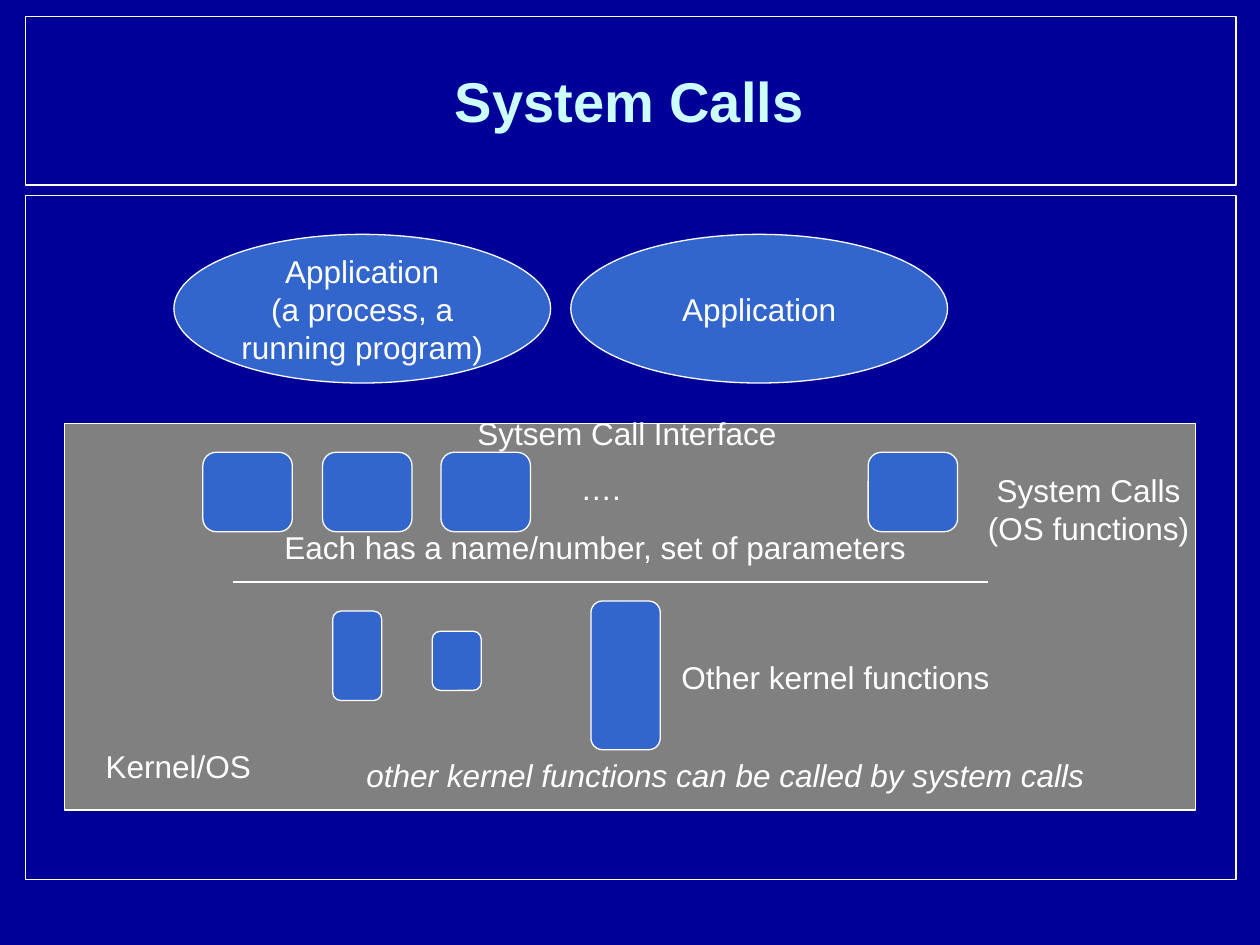
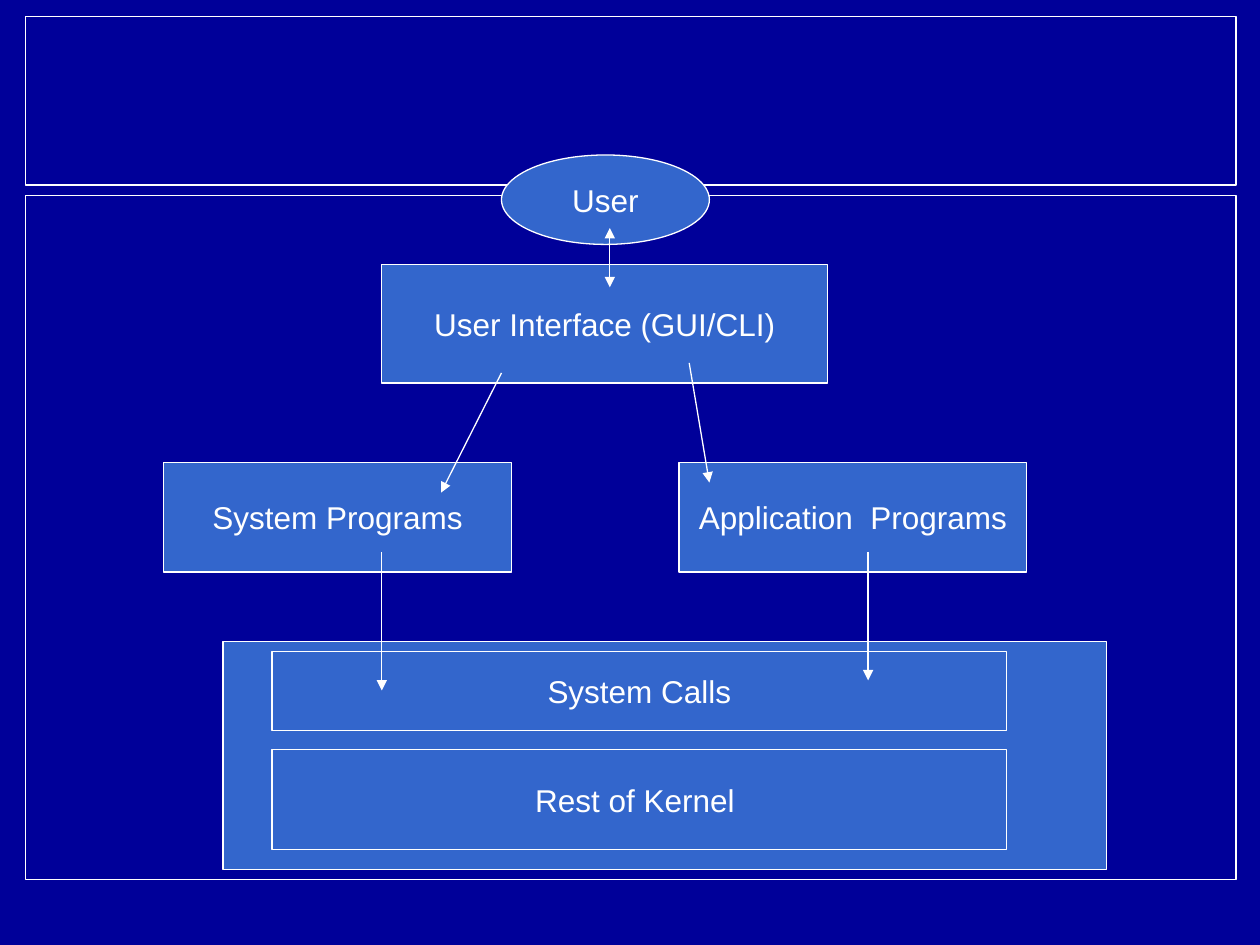
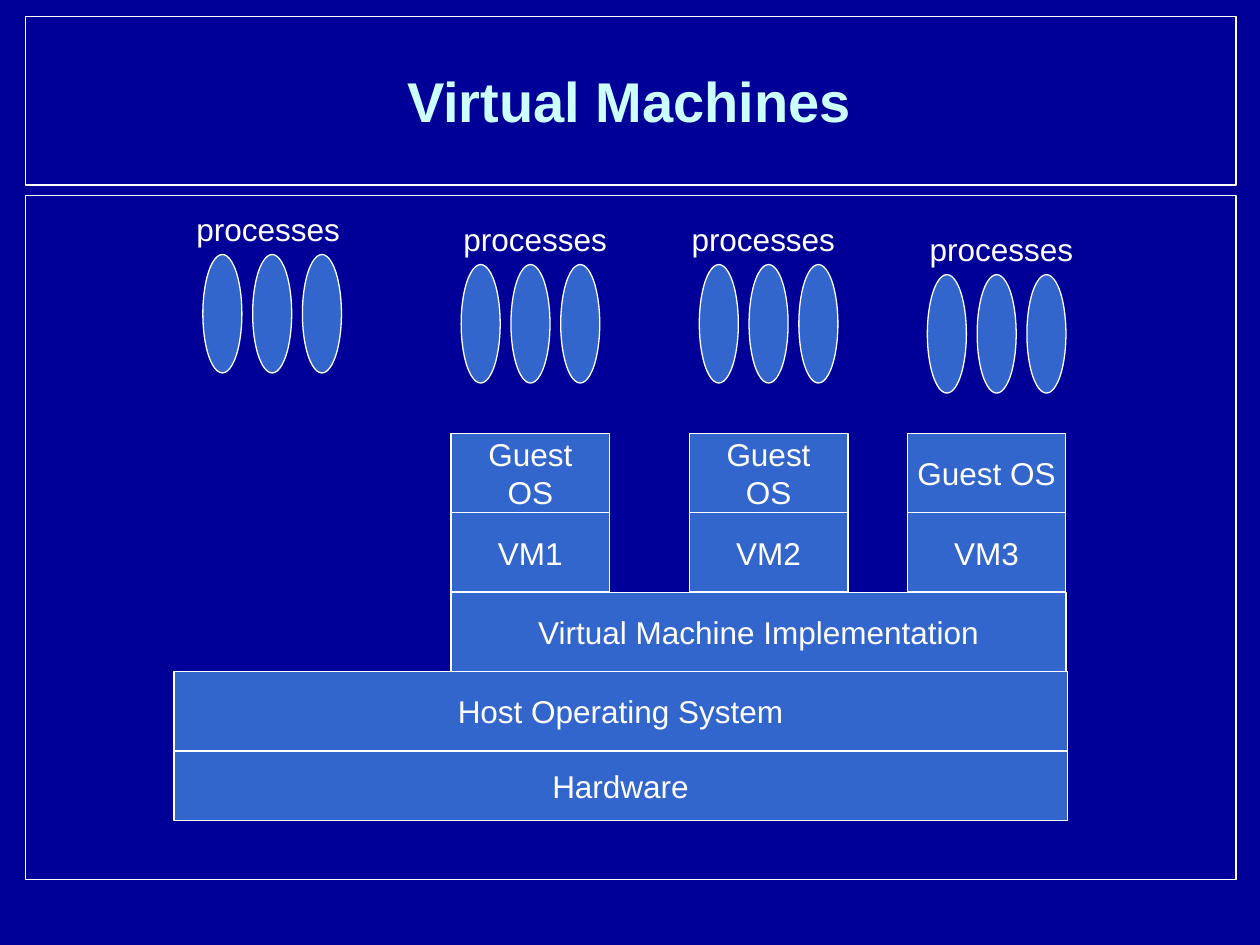
from lxml.etree import SubElement
from pptx import Presentation
from pptx.dml.color import RGBColor
from pptx.enum.shapes import MSO_CONNECTOR, MSO_SHAPE
from pptx.enum.text import MSO_ANCHOR, MSO_AUTO_SIZE, PP_ALIGN
from pptx.oxml.ns import qn
from pptx.util import Inches, Pt

NAVY = RGBColor(0x00, 0x00, 0x99)
BLUE = RGBColor(0x33, 0x66, 0xCC)
GRAY = RGBColor(0x80, 0x80, 0x80)
WHITE = RGBColor(0xFF, 0xFF, 0xFF)
PALE_CYAN = RGBColor(0xCC, 0xFF, 0xFF)
FONT = "Arial"
RECTANGLE = MSO_SHAPE.RECTANGLE
ROUNDED = MSO_SHAPE.ROUNDED_RECTANGLE
ELLIPSE = MSO_SHAPE.OVAL


def write_text(box, text, align=PP_ALIGN.CENTER, size=18, color=WHITE, bold=False, italic=False):
    frame = box.text_frame
    frame.text = text
    for para in frame.paragraphs:
        para.alignment = align
        for span in para.runs:
            span.font.name = FONT
            span.font.size = Pt(size)
            span.font.color.rgb = color
            span.font.bold = bold
            span.font.italic = italic


def add_block(page, kind, left, top, width, height, text="", fill=BLUE):
    block = page.shapes.add_shape(kind, Inches(left), Inches(top), Inches(width), Inches(height))
    block.shadow.inherit = False
    if fill is None:
        block.fill.background()
    else:
        block.fill.solid()
        block.fill.fore_color.rgb = fill
    block.line.color.rgb = WHITE
    block.line.width = Pt(0.75)
    block.text_frame.word_wrap = False
    block.text_frame.vertical_anchor = MSO_ANCHOR.MIDDLE
    if text:
        write_text(block, text)


deck = Presentation()
deck.slide_width = Inches(10)
deck.slide_height = Inches(7.5)
deck.slide_master.background.fill.solid()
deck.slide_master.background.fill.fore_color.rgb = NAVY

pages = []
for heading in ("System Calls", "", "Virtual Machines"):
    page = deck.slides.add_slide(deck.slide_layouts[5 if heading else 6])
    add_block(page, RECTANGLE, 0.2, 0.13, 9.61, 1.34, fill=None)
    add_block(page, RECTANGLE, 0.2, 1.55, 9.61, 5.43, fill=None)
    if heading:
        title = page.shapes.title
        title.left, title.top = Inches(0.35), Inches(0.17)
        title.width, title.height = Inches(9.29), Inches(1.25)
        title.text_frame.vertical_anchor = MSO_ANCHOR.MIDDLE
        write_text(title, heading, size=32, color=PALE_CYAN, bold=True)
    pages.append(page)
calls_page, layers_page, machines_page = pages

add_block(calls_page, RECTANGLE, 0.51, 3.36, 8.98, 3.07, fill=GRAY)
add_block(calls_page, ELLIPSE, 1.38, 1.86, 2.99, 1.18, "Application\n(a process, a\vrunning program)")
add_block(calls_page, ELLIPSE, 4.53, 1.86, 2.99, 1.18, "Application")
for left in (1.61, 2.56, 3.5, 6.89):
    add_block(calls_page, ROUNDED, left, 3.59, 0.71, 0.63)
for left, top, width, height in (
    (2.64, 4.85, 0.39, 0.71),
    (3.43, 5.01, 0.39, 0.47),
    (4.69, 4.77, 0.55, 1.18),
):
    add_block(calls_page, ROUNDED, left, top, width, height)

add_block(layers_page, RECTANGLE, 1.77, 5.09, 7.01, 1.81)
for kind, left, top, width, height, text in (
    (RECTANGLE, 3.03, 2.1, 3.54, 0.94, "User Interface (GUI/CLI)"),
    (RECTANGLE, 1.3, 3.67, 2.76, 0.87, "System Programs"),
    (RECTANGLE, 5.39, 3.67, 2.76, 0.87, "Application  Programs"),
    (RECTANGLE, 2.16, 5.17, 5.83, 0.63, "System Calls"),
    (RECTANGLE, 2.16, 5.95, 5.83, 0.79, "Rest of Kernel "),
    (ELLIPSE, 3.98, 1.23, 1.65, 0.71, "User"),
):
    add_block(layers_page, kind, left, top, width, height, text)

for left, top, width, height, text in (
    (1.38, 5.96, 7.09, 0.55, "Hardware"),
    (1.38, 5.33, 7.09, 0.63, "Host Operating System"),
    (3.58, 4.7, 4.88, 0.63, "Virtual Machine Implementation"),
):
    add_block(machines_page, RECTANGLE, left, top, width, height, text)
for left, machine, guest in (
    (3.58, "VM1", "Guest\vOS"),
    (5.47, "VM2", "Guest\vOS"),
    (7.2, "VM3", "Guest OS"),
):
    add_block(machines_page, RECTANGLE, left, 4.07, 1.26, 0.63, machine)
    add_block(machines_page, RECTANGLE, left, 3.44, 1.26, 0.63, guest)

LEFT, CENTER = PP_ALIGN.LEFT, PP_ALIGN.CENTER
labels = [
    (calls_page, 7.74, 3.69, 1.8, 0.7, "System Calls\n(OS functions)", CENTER, False),
    (calls_page, 2.16, 4.14, 5.2, 0.4, "Each has a name/number, set of parameters", LEFT, False),
    (calls_page, 4.51, 3.67, 0.52, 0.4, "….", LEFT, False),
    (calls_page, 0.74, 5.88, 1.35, 0.4, "Kernel/OS", LEFT, False),
    (calls_page, 5.31, 5.17, 2.7, 0.4, "Other kernel functions", LEFT, False),
    (calls_page, 2.81, 5.95, 6, 0.4, "other kernel functions can be called by system calls", LEFT, True),
    (calls_page, 3.69, 3.24, 2.65, 0.4, "Sytsem Call Interface", LEFT, False),
]
for group_left, group_top, label_left in (
    (1.61, 2.02, 1.46),
    (3.66, 2.1, 3.58),
    (5.55, 2.1, 5.39),
    (7.36, 2.18, 7.28),
):
    for index in range(3):
        add_block(machines_page, ELLIPSE, group_left + index * 0.79 / 2, group_top, 0.31, 0.94)
    labels.append((machines_page, label_left, group_top - 0.4, 1.34, 0.4, "processes", LEFT, False))

for page, left, top, width, height, text, align, italic in labels:
    label = page.shapes.add_textbox(Inches(left), Inches(top), Inches(width), Inches(height))
    label.text_frame.word_wrap = False
    label.text_frame.auto_size = MSO_AUTO_SIZE.NONE
    write_text(label, text, align, italic=italic)

for page, start_x, start_y, end_x, end_y, arrow_ends in (
    (calls_page, 1.85, 4.62, 7.84, 4.62, ()),
    (layers_page, 3.98, 2.96, 3.5, 3.91, ("tailEnd",)),
    (layers_page, 5.47, 2.88, 5.63, 3.83, ("tailEnd",)),
    (layers_page, 3.03, 4.38, 3.03, 5.48, ("tailEnd",)),
    (layers_page, 6.89, 4.38, 6.89, 5.4, ("tailEnd",)),
    (layers_page, 4.84, 1.81, 4.84, 2.28, ("headEnd", "tailEnd")),
):
    connector = page.shapes.add_connector(
        MSO_CONNECTOR.STRAIGHT, Inches(start_x), Inches(start_y), Inches(end_x), Inches(end_y)
    )
    connector.line.color.rgb = WHITE
    connector.line.width = Pt(0.75)
    properties = connector._element.spPr
    for arrow_end in arrow_ends:
        SubElement(properties.find(qn("a:ln")), qn(f"a:{arrow_end}"), type="triangle")
    SubElement(properties, qn("a:effectLst"))

deck.save("out.pptx")
